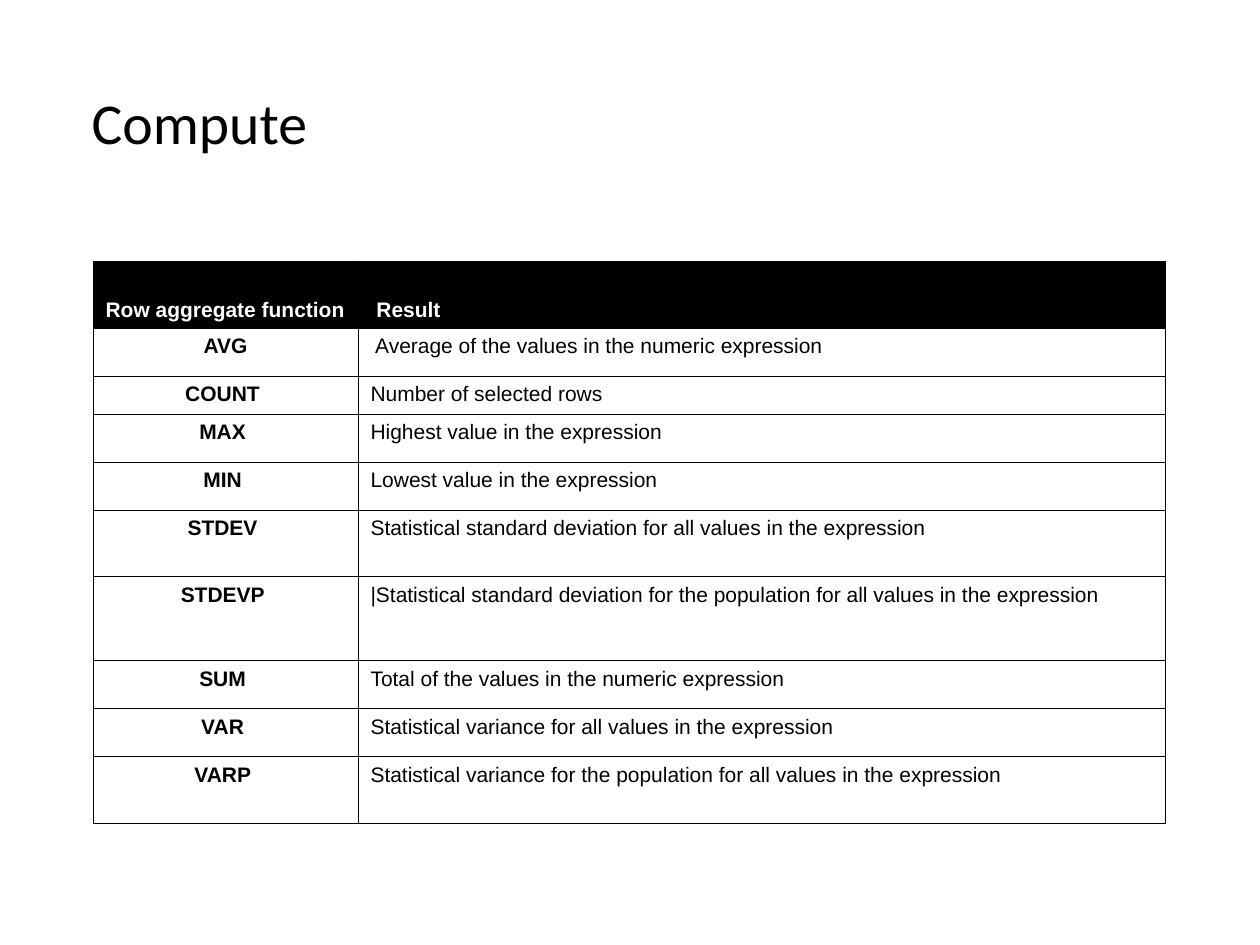
from lxml.etree import SubElement
from pptx import Presentation
from pptx.dml.color import RGBColor as RGB
from pptx.enum.text import MSO_ANCHOR as Anchor, PP_ALIGN as Align
from pptx.oxml.ns import qn
from pptx.util import Emu, Pt

PX = 914400 // 126

THEME = {
    "ink": RGB.from_string("000000"),
    "paper": RGB.from_string("FFFFFF"),
    "title_font": "Calibri",
    "table_font": "Arial",
    "title_size": Pt(33),
    "table_size": Pt(12),
    "border": Pt(0.45),
}


def px(n):
    return Emu(n * PX)


def draw_borders(cell):
    for side in ("a:lnL", "a:lnR", "a:lnT", "a:lnB"):
        line = SubElement(cell._tc.get_or_add_tcPr(), qn(side), w=str(THEME["border"]))
        fill = SubElement(line, qn("a:solidFill"))
        SubElement(fill, qn("a:srgbClr"), val=str(THEME["ink"]))


prs = Presentation()
prs.slide_width, prs.slide_height = px(1260), px(945)
slide = prs.slides.add_slide(prs.slide_layouts[5])

# Title
title = slide.shapes.title
title.left, title.top, title.width, title.height = px(79), px(42), px(1103), px(168)
title.text_frame.text = "Compute"
title.text_frame.vertical_anchor = Anchor.MIDDLE
heading = title.text_frame.paragraphs[0]
heading.alignment = Align.LEFT
heading.line_spacing = 0.9
heading_font = heading.runs[0].font
heading_font.name = THEME["title_font"]
heading_font.size = THEME["title_size"]
heading_font.color.rgb = THEME["ink"]

# Aggregate functions: row height, function, result
functions = [
    (67, "Row aggregate function", " Result"),
    (48, "AVG", " Average of the values in the numeric expression"),
    (38, "COUNT ", "Number of selected rows"),
    (48, "MAX ", "Highest value in the expression"),
    (48, "MIN ", "Lowest value in the expression"),
    (67, "STDEV ", "Statistical standard deviation for all values in the expression"),
    (84, "STDEVP ", "|Statistical standard deviation for the population for all values in the expression"),
    (48, "SUM ", "Total of the values in the numeric expression"),
    (48, "VAR ", "Statistical variance for all values in the expression"),
    (67, "VARP ", "Statistical variance for the population for all values in the expression"),
]
column_widths = (265, 807)
table_height = sum(height for height, *_ in functions)

# Table
table = slide.shapes.add_table(
    len(functions), len(column_widths),
    px(93), px(261), px(sum(column_widths)), px(table_height),
).table
table.first_row = table.horz_banding = False
for column, width in zip(table.columns, column_widths):
    column.width = px(width)

for r, (height, *texts) in enumerate(functions):
    table.rows[r].height = px(height)
    is_header = r == 0
    for c, text in enumerate(texts):
        is_name = c == 0
        cell = table.cell(r, c)
        draw_borders(cell)
        if is_header:
            cell.fill.solid()
            cell.fill.fore_color.rgb = THEME["ink"]
        else:
            cell.fill.background()
        cell.vertical_anchor = Anchor.BOTTOM if is_header else Anchor.TOP

        cell.text_frame.text = text
        entry = cell.text_frame.paragraphs[0]
        entry.alignment = Align.CENTER if is_name and not is_header else Align.LEFT
        # Hanging indent
        props = entry._p.get_or_add_pPr()
        props.set("marL", str(px(64)))
        props.set("indent", str(px(-64)))
        font = entry.runs[0].font
        font.name = THEME["table_font"]
        font.size = THEME["table_size"]
        font.bold = is_header or is_name
        font.color.rgb = THEME["paper"] if is_header else THEME["ink"]

prs.save("out.pptx")
